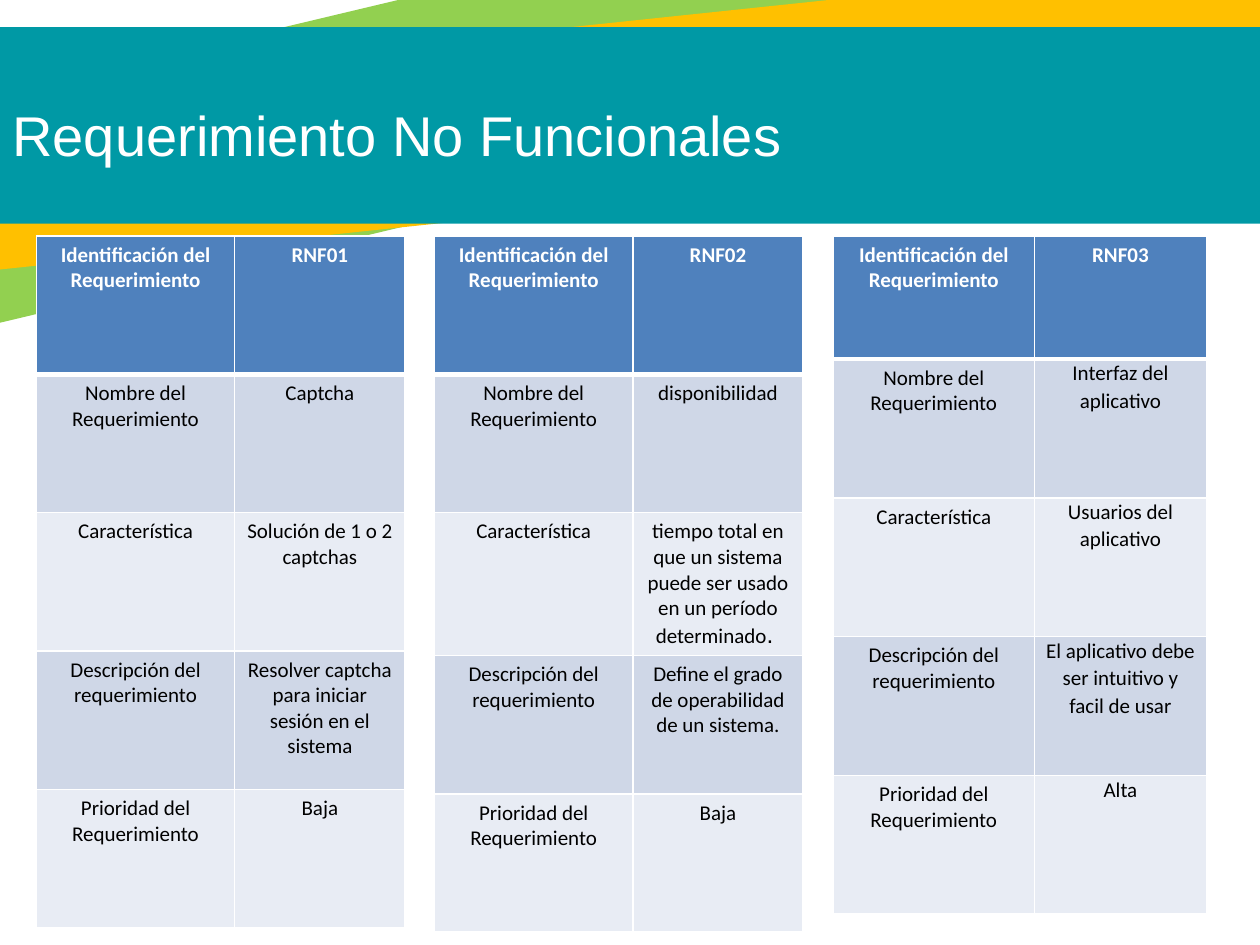
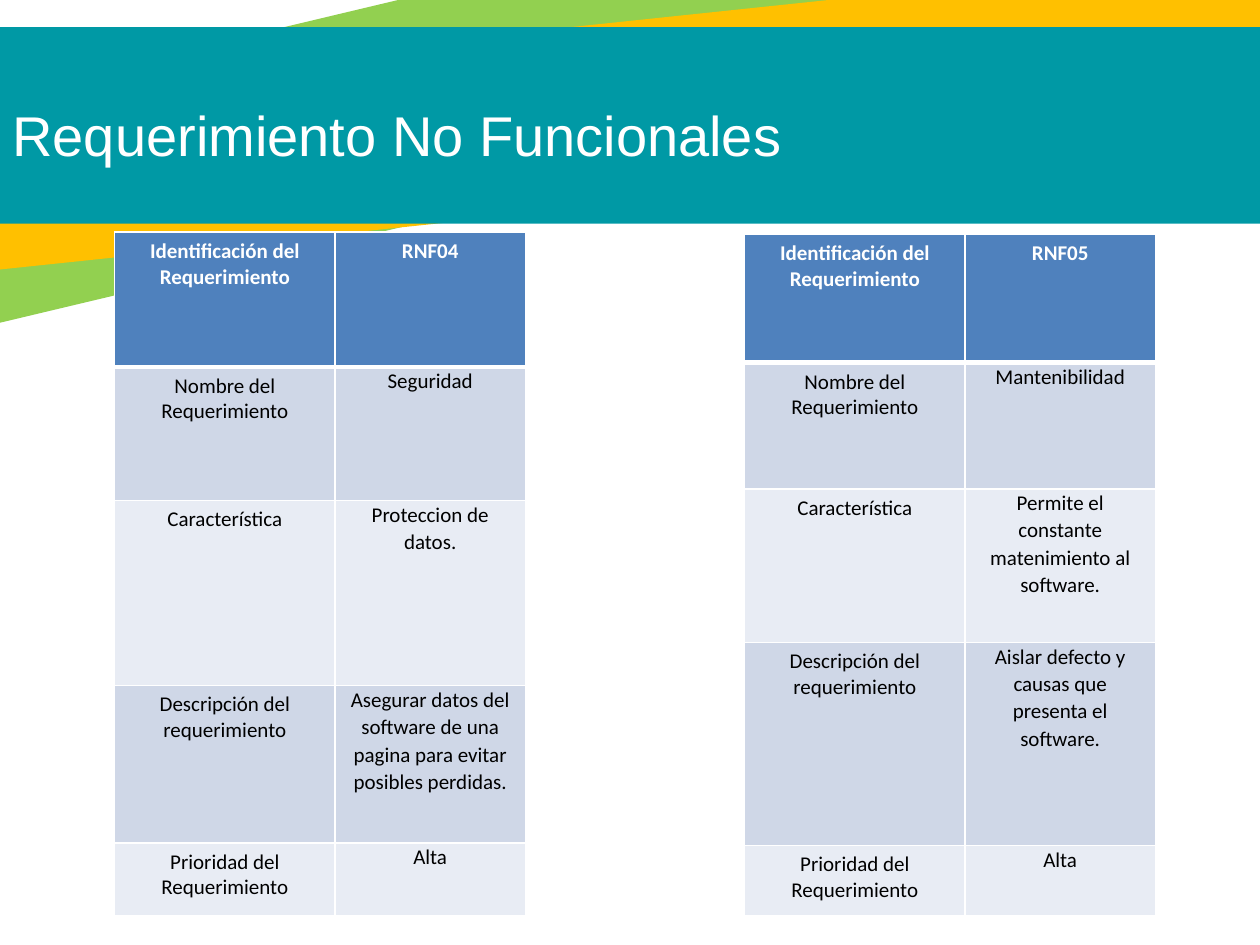
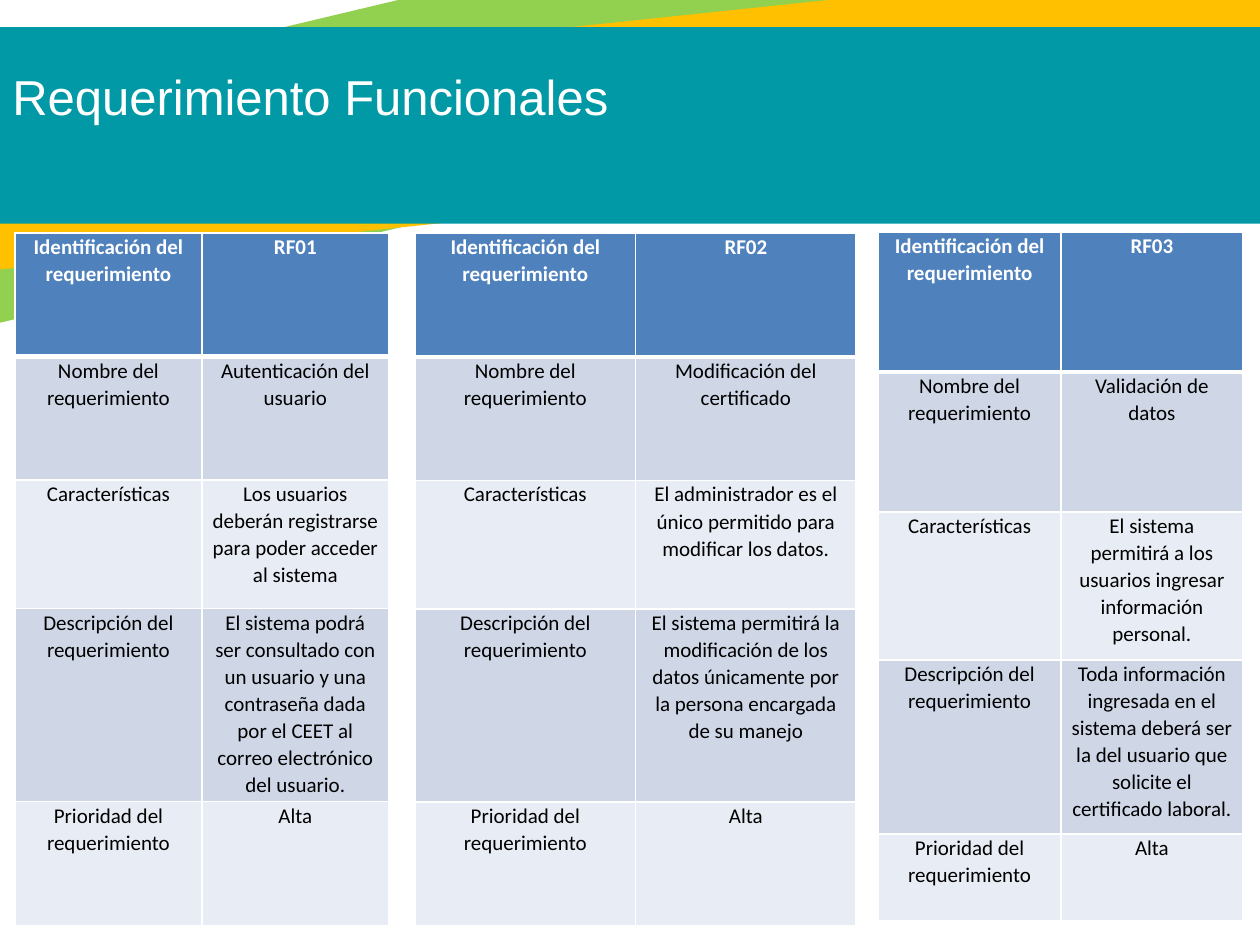
from lxml.etree import SubElement
from pptx import Presentation
from pptx.dml.color import RGBColor
from pptx.enum.shapes import MSO_SHAPE
from pptx.enum.text import MSO_ANCHOR, PP_ALIGN
from pptx.oxml.ns import qn
from pptx.util import Pt

GREEN = RGBColor(0x92, 0xD0, 0x50)
GOLD = RGBColor(0xFF, 0xC0, 0x00)
TEAL = RGBColor(0x00, 0x99, 0xA5)
WHITE = RGBColor(0xFF, 0xFF, 0xFF)
BLACK = RGBColor(0x00, 0x00, 0x00)
HEAD = RGBColor(0x4F, 0x81, 0xBD)
STRIPES = (RGBColor(0xE8, 0xEC, 0xF4), RGBColor(0xCF, 0xD7, 0xE7))

# left, top, width, height, rotation, colour
BANDS = (
    (-180.7, -13, 940.3, 126.7, 346.6, GREEN),
    (-79.2, 14.4, 837.4, 103.7, 354, GOLD),
    (-76.3, 15.6, 837.4, 112.2, 0, TEAL),
)

# side margin, top and bottom margin, line spacing
WIDE = (7.2, 3.6, None)
TIGHT = (5.4, 0, 1.07)
DENSE = (5.4, 0, 1.06)

NON_FUNC = ("Identificación del Requerimiento", "Nombre del Requerimiento",
            "Característica", "Descripción del requerimiento",
            "Prioridad del Requerimiento")
FUNC = ("Identificación del requerimiento", "Nombre del requerimiento",
        "Características", "Descripción del requerimiento",
        "Prioridad del requerimiento")


def add_run(para, text, size, color, font="Calibri", bold=False):
    run = para.add_run()
    run.text = text
    run.font.size = Pt(size)
    run.font.name = font
    run.font.bold = bold
    run.font.color.rgb = color


def add_band(slide, left, top, width, height, turn, color):
    band = slide.shapes.add_shape(MSO_SHAPE.RECTANGLE, Pt(left), Pt(top),
                                  Pt(width), Pt(height))
    band.rotation = turn
    band.shadow.inherit = False
    band.fill.solid()
    band.fill.fore_color.rgb = color
    band.line.fill.background()


def add_title(slide, text, box, size, pad):
    shape = slide.shapes.add_textbox(*(Pt(n) for n in box))
    frame = shape.text_frame
    frame.word_wrap = True
    frame.vertical_anchor = MSO_ANCHOR.TOP
    frame.margin_left = frame.margin_right = Pt(7.2)
    frame.margin_top = frame.margin_bottom = Pt(pad)
    add_run(frame.paragraphs[0], text, size, WHITE, "Arial")


def add_slide(deck, text, box, size, pad):
    """Start a blank slide with the bands and a title."""
    slide = deck.slides.add_slide(deck.slide_layouts[6])
    for band in BANDS:
        add_band(slide, *band)
    add_title(slide, text, box, size, pad)
    return slide


def set_edges(cell, row):
    """Draw white borders, thicker below the header row."""
    props = cell._tc.get_or_add_tcPr()
    top = 3 if row == 1 else 1
    base = 3 if row == 0 else 1
    for tag, width in (("lnL", 1), ("lnR", 1), ("lnT", top), ("lnB", base)):
        line = SubElement(props, qn(f"a:{tag}"), w=str(Pt(width)))
        fill = SubElement(line, qn("a:solidFill"))
        SubElement(fill, qn("a:srgbClr"), val=str(WHITE))


def fill_cell(cell, row, text, style):
    side, edge, space = style
    set_edges(cell, row)
    cell.fill.solid()
    cell.fill.fore_color.rgb = STRIPES[row % 2] if row else HEAD
    cell.margin_left = cell.margin_right = Pt(side)
    cell.margin_top = cell.margin_bottom = Pt(edge)
    cell.vertical_anchor = MSO_ANCHOR.TOP
    para = cell.text_frame.paragraphs[0]
    para.alignment = PP_ALIGN.CENTER
    if space:
        para.line_spacing = space
    add_run(para, text, 12, BLACK if row else WHITE, bold=row == 0)


def add_card(slide, left, top, cols, rows, labels, values, style, plain):
    """Add a requirement table; plain styles the values below the header."""
    frame = slide.shapes.add_table(len(rows), len(cols), Pt(left), Pt(top),
                                   Pt(sum(cols)), Pt(sum(rows)))
    table = frame.table
    for col, width in zip(table.columns, cols):
        col.width = Pt(width)
    for row, height in enumerate(rows):
        table.rows[row].height = Pt(height)
        fill_cell(table.cell(row, 0), row, labels[row], style)
        fill_cell(table.cell(row, 1), row, values[row],
                  plain if row else style)
    return table


def main():
    deck = Presentation()
    deck.slide_width, deck.slide_height = Pt(720), Pt(540)
    main_title = ("Requerimiento No Funcionales", (0, 50.4, 527, 54), 32, 7.2)

    slide = add_slide(deck, *main_title)
    even = [79.06] * 5
    add_card(slide, 20.9, 134.8, (113.2, 97.4), even, NON_FUNC, (
        "RNF01", "Captcha", "Solución de 1 o 2 captchas",
        "Resolver captcha para iniciar sesión en el sistema", "Baja",
    ), WIDE, WIDE)
    add_card(slide, 476.2, 134.8, (114.9, 98.4), [70.4] + [79.3] * 4,
             NON_FUNC, (
        "RNF03", "Interfaz del aplicativo", "Usuarios del aplicativo",
        "El aplicativo debe ser intuitivo y facil de usar", "Alta",
    ), WIDE, TIGHT)
    table = add_card(slide, 248.4, 134.8, (113.2, 97.4), even, NON_FUNC, (
        "RNF02", "disponibilidad",
        "tiempo total en que un sistema puede ser usado en un período "
        "determinado",
        "Define el grado de operabilidad de un sistema.", "Baja",
    ), WIDE, WIDE)
    add_run(table.cell(2, 1).text_frame.paragraphs[0], ". ", 14, BLACK,
            "Arial")

    slide = add_slide(deck, *main_title)
    cols = (126, 108.7)
    add_card(slide, 65.5, 132.7, cols, (77, 76.3, 105.8, 90, 41.8),
             NON_FUNC, (
        "RNF04", "Seguridad", "Proteccion de datos.",
        "Asegurar datos del software de una pagina para evitar posibles "
        "perdidas.", "Alta",
    ), WIDE, TIGHT)
    add_card(slide, 425.5, 133.9, cols, (73.4, 72, 87.8, 116, 40.3),
             NON_FUNC, (
        "RNF05", "Mantenibilidad",
        "Permite el constante matenimiento al software.",
        "Aislar defecto y causas que presenta el software.", "Alta",
    ), WIDE, TIGHT)

    slide = add_slide(deck, "Requerimiento Funcionales",
                      (0, 34.6, 483, 75), 28, 3.6)
    rows = (70.6, 70.6, 73.4, 110.4, 70.6)
    add_card(slide, 8.6, 133.2, (106.8, 106.8), rows, FUNC, (
        "RF01", "Autenticación del usuario",
        "Los usuarios deberán registrarse para poder acceder al sistema",
        "El sistema podrá ser consultado con un usuario y una contraseña "
        "dada por el CEET al correo electrónico del usuario.", "Alta",
    ), DENSE, DENSE)
    add_card(slide, 237.2, 133.4, (126, 126), rows, FUNC, (
        "RF02", "Modificación del certificado",
        "El administrador es el único permitido para modificar los datos.",
        "El sistema permitirá la modificación de los datos únicamente por "
        "la persona encargada de su manejo", "Alta",
    ), DENSE, DENSE)
    add_card(slide, 502, 132.7, (104.2, 104.2), (79.9, 79.9, 84.7, 99.4, 49.5),
             FUNC, (
        "RF03", "Validación de datos",
        "El sistema permitirá a los usuarios ingresar información personal.",
        "Toda información ingresada en el sistema deberá ser la del usuario "
        "que solicite el certificado laboral.", "Alta",
    ), DENSE, DENSE)

    deck.save("out.pptx")


if __name__ == "__main__":
    main()
